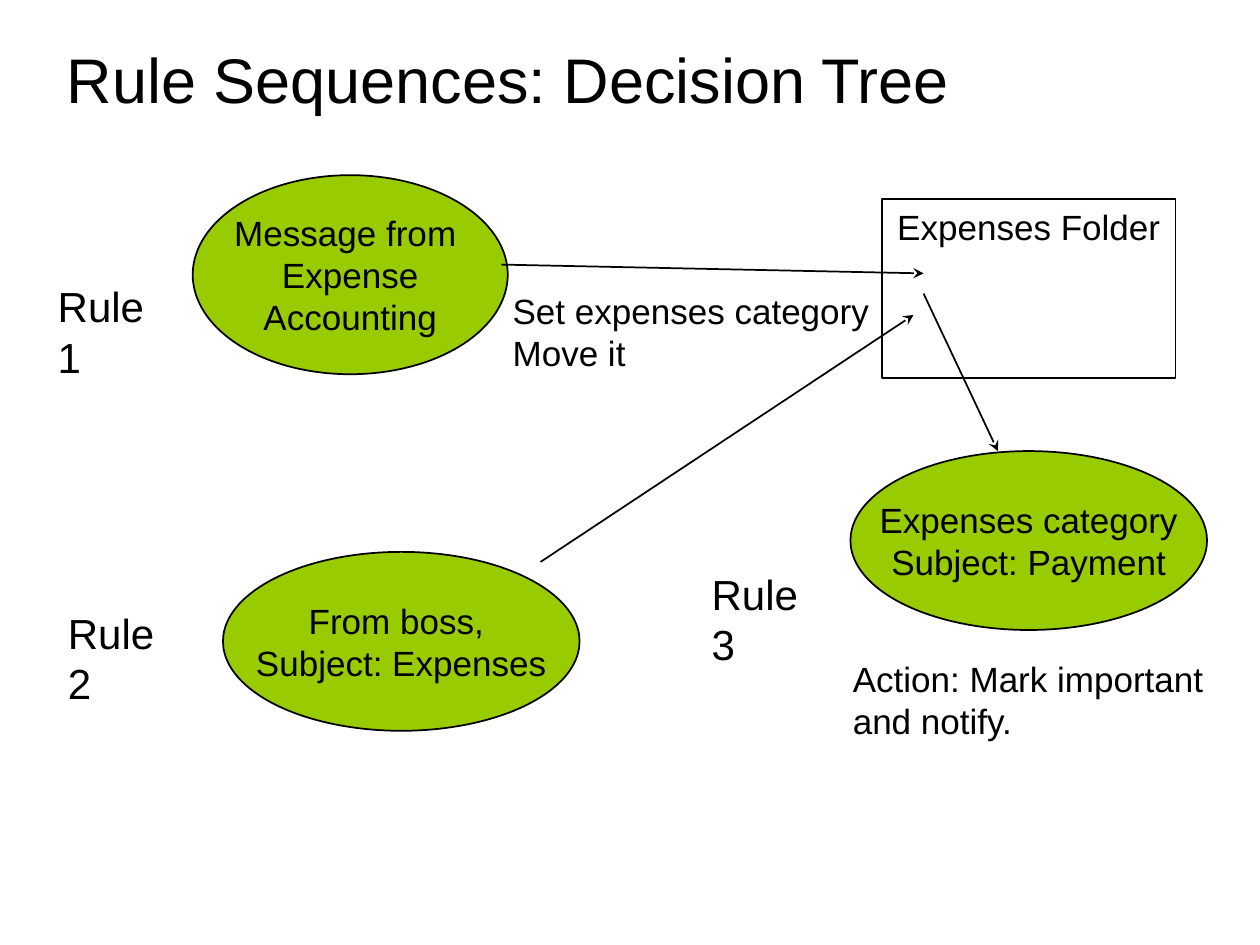
"""Build the decision tree slide on rule sequences."""
from dataclasses import dataclass

from lxml.etree import SubElement
from pptx import Presentation
from pptx.dml.color import RGBColor
from pptx.enum.shapes import MSO_CONNECTOR, MSO_SHAPE
from pptx.enum.text import MSO_ANCHOR, MSO_AUTO_SIZE, PP_ALIGN
from pptx.oxml.ns import qn
from pptx.slide import Slide
from pptx.text.text import TextFrame
from pptx.util import Emu, Pt

EMU_PER_PX = 9144
FONT = "Arial"
COLORS = {"ink": "000000", "rule": "99CC00", "folder": "FFFFFF"}


@dataclass(frozen=True)
class Node:
    text: str
    left: int
    top: int
    width: int
    height: int
    outline: MSO_SHAPE = MSO_SHAPE.OVAL
    fill: str = "rule"
    anchor: MSO_ANCHOR = MSO_ANCHOR.MIDDLE


@dataclass(frozen=True)
class Label:
    text: str
    left: int
    top: int
    width: int = 116
    height: int = 50
    size: int = 24
    wrap: bool = False


@dataclass(frozen=True)
class Arrow:
    start: tuple[int, int]
    end: tuple[int, int]


NODES = [
    Node("From boss, \nSubject: Expenses", 177, 438, 283, 142),
    Node("Message from \nExpense\nAccounting", 153, 139, 250, 158),
    Node("Expenses Folder", 700, 158, 233, 142,
         MSO_SHAPE.RECTANGLE, "folder", MSO_ANCHOR.TOP),
    Node("Expenses category\nSubject: Payment", 675, 358, 283, 142),
]
ARROWS = [
    Arrow((398, 210), (733, 217)),
    Arrow((429, 446), (725, 250)),
    Arrow((733, 233), (792, 358)),
]
LABELS = [
    Label("Rule 1", 36, 218),
    Label("Rule 2", 44, 477),
    Label("Rule 3", 555, 446),
    Label("Set expenses category\nMove it", 397, 225, 303, 77, 20),
    Label("Action: Mark important and notify.", 667, 517, 300, 77, 20, True),
]


def px(*lengths: int) -> list[Emu]:
    return [Emu(length * EMU_PER_PX) for length in lengths]


def color(name: str) -> RGBColor:
    return RGBColor.from_string(COLORS[name])


def write(frame: TextFrame, text: str, size: int, align: PP_ALIGN = PP_ALIGN.LEFT) -> None:
    frame.text = text
    for paragraph in frame.paragraphs:
        paragraph.alignment = align
        for run in paragraph.runs:
            run.font.name = FONT
            run.font.size = Pt(size)
            run.font.color.rgb = color("ink")


def draw_title(slide: Slide, text: str) -> None:
    title = slide.shapes.title
    title.left, title.top, title.width, title.height = px(43, 0, 900, 125)
    write(title.text_frame, text, 36)
    title.text_frame.vertical_anchor = MSO_ANCHOR.MIDDLE


def draw_node(slide: Slide, node: Node) -> None:
    shape = slide.shapes.add_shape(
        node.outline, *px(node.left, node.top, node.width, node.height))
    shape.shadow.inherit = False
    shape.fill.solid()
    shape.fill.fore_color.rgb = color(node.fill)
    shape.line.color.rgb = color("ink")
    shape.line.width = Pt(1)
    shape.text_frame.word_wrap = False
    shape.text_frame.vertical_anchor = node.anchor
    write(shape.text_frame, node.text, 20, PP_ALIGN.CENTER)


def draw_arrow(slide: Slide, arrow: Arrow) -> None:
    connector = slide.shapes.add_connector(
        MSO_CONNECTOR.STRAIGHT, *px(*arrow.start, *arrow.end))
    connector.line.color.rgb = color("ink")
    connector.line.width = Pt(1)
    SubElement(connector.line._get_or_add_ln(), qn("a:tailEnd"), type="stealth")
    SubElement(connector._element.spPr, qn("a:effectLst"))


def draw_label(slide: Slide, label: Label) -> None:
    box = slide.shapes.add_textbox(
        *px(label.left, label.top, label.width, label.height))
    box.text_frame.word_wrap = label.wrap
    box.text_frame.auto_size = MSO_AUTO_SIZE.SHAPE_TO_FIT_TEXT
    write(box.text_frame, label.text, label.size)


def main() -> None:
    presentation = Presentation()
    presentation.slide_width, presentation.slide_height = px(1000, 750)
    slide = presentation.slides.add_slide(presentation.slide_layouts[5])
    draw_title(slide, "Rule Sequences: Decision Tree")
    for node in NODES:
        draw_node(slide, node)
    for arrow in ARROWS:
        draw_arrow(slide, arrow)
    for label in LABELS:
        draw_label(slide, label)
    presentation.save("out.pptx")


if __name__ == "__main__":
    main()
